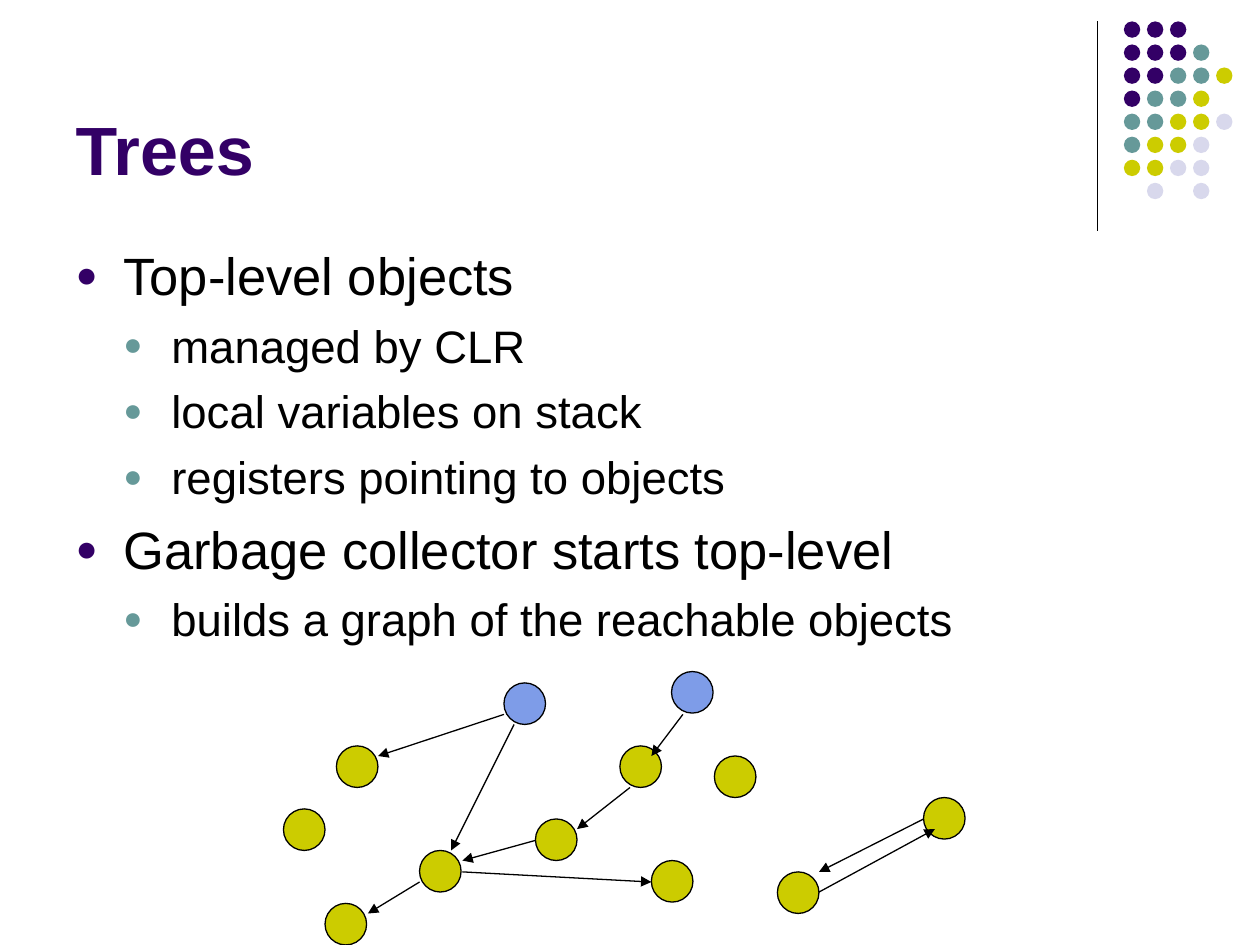
from lxml import etree
from pptx import Presentation
from pptx.dml.color import RGBColor
from pptx.enum import shapes, text
from pptx.oxml import ns
from pptx.util import Inches, Pt

PURPLE = RGBColor(0x33, 0x00, 0x66)
TEAL = RGBColor(0x66, 0x99, 0x99)
OLIVE = RGBColor(0xCC, 0xCC, 0x00)
LAVENDER = RGBColor(0xD8, 0xD8, 0xEC)
BLUE = RGBColor(0x7E, 0x9C, 0xE8)
BLACK = RGBColor(0x00, 0x00, 0x00)

DOT_COLORS = {"P": PURPLE, "T": TEAL, "O": OLIVE, "L": LAVENDER}
DOT_ROWS = ["PPP", "PPPT", "PPTTO", "PTTO", "TTOOL", "TOOL", "OOLL", " L L"]

LEVELS = [
    {"size": 30, "before": 7.5, "indent": 0.38, "bullet": PURPLE},
    {"size": 26, "before": 6.5, "indent": 0.76, "bullet": TEAL},
]
POINTS = [
    (0, "Top-level objects"),
    (1, "managed by CLR"),
    (1, "local variables on stack"),
    (1, "registers pointing to objects"),
    (0, "Garbage collector starts top-level"),
    (1, "builds a graph of the reachable objects"),
]

# Graph positions are relative to the graph's box
ROOTS = [(1.75, 0.09), (3.08, 0)]
NODES = [(0.42, 0.59), (1.08, 1.42), (0.33, 1.84), (2, 1.17), (2.67, 0.59),
         (3.42, 0.67), (5.08, 1), (2.92, 1.5), (0, 1.09), (3.92, 1.59)]
ARROWS = [
    ((1.75, 0.34), (0.75, 0.67)), ((1.83, 0.42), (1.33, 1.42)),
    ((1.08, 1.67), (0.67, 1.92)), ((1.42, 1.59), (2.92, 1.67)),
    ((3.17, 0.34), (2.92, 0.67)), ((2.75, 0.92), (2.33, 1.25)),
    ((2, 1.34), (1.42, 1.5)), ((5.08, 1.17), (4.25, 1.59)),
    ((4.25, 1.75), (5.17, 1.25)),
]


def set_attributes(target, values):
    for name, value in values.items():
        setattr(target, name, value)


def add_circle(parent, left, top, size, color, outlined=False):
    circle = parent.add_shape(shapes.MSO_SHAPE.OVAL, Inches(left), Inches(top),
                              Inches(size), Inches(size))
    circle.shadow.inherit = False
    circle.fill.solid()
    circle.fill.fore_color.rgb = color
    if outlined:
        circle.line.color.rgb = BLACK
        circle.line.width = Pt(0.75)
    else:
        circle.line.fill.background()


def add_line(slide, start, end, arrow=False):
    line = slide.shapes.add_connector(
        shapes.MSO_CONNECTOR.STRAIGHT, *(Inches(n) for n in (*start, *end)))
    line.line.color.rgb = BLACK
    line.line.width = Pt(0.75)
    if arrow:
        outline = line.line._get_or_add_ln()
        etree.SubElement(outline, ns.qn("a:tailEnd"), type="triangle")
    etree.SubElement(line._element.spPr, ns.qn("a:effectLst"))


def place_text(placeholder, box, anchor):
    names = ("left", "top", "width", "height")
    set_attributes(placeholder, dict(zip(names, (Inches(n) for n in box))))
    set_attributes(placeholder.text_frame, {
        "word_wrap": True, "auto_size": text.MSO_AUTO_SIZE.NONE,
        "vertical_anchor": anchor,
        "margin_left": Inches(0.1), "margin_right": Inches(0.1),
        "margin_top": Inches(0.05), "margin_bottom": Inches(0.05)})


def format_paragraph(paragraph, size, color, bold=False):
    paragraph.alignment = text.PP_ALIGN.LEFT
    set_attributes(paragraph.font,
                   {"name": "Arial", "size": Pt(size), "bold": bold})
    paragraph.font.color.rgb = color


def add_bullet(paragraph, indent, color):
    properties = paragraph._p.get_or_add_pPr()
    properties.set("marL", str(Inches(indent)))
    properties.set("indent", str(Inches(-0.38)))
    bullet_color = etree.SubElement(properties, ns.qn("a:buClr"))
    etree.SubElement(bullet_color, ns.qn("a:srgbClr"), val=str(color))
    etree.SubElement(properties, ns.qn("a:buSzPct"), val="70000")
    etree.SubElement(properties, ns.qn("a:buChar"), char="●")


def build_dots(slide, left, top):
    # Vertical rule with the dot grid to its right
    add_line(slide, (left, top), (left, top + 1.66))
    group = slide.shapes.add_group_shape()
    pitch = 0.183
    for row, codes in enumerate(DOT_ROWS):
        for column, code in enumerate(codes):
            if code in DOT_COLORS:
                add_circle(group.shapes, left + 0.21 + column * pitch,
                           top + row * pitch, 0.13, DOT_COLORS[code])


def build_title(slide, box):
    title = slide.shapes.title
    place_text(title, box, text.MSO_ANCHOR.BOTTOM)
    title.text_frame.text = "Trees"
    format_paragraph(title.text_frame.paragraphs[0], 39, PURPLE, bold=True)


def build_points(slide, box):
    body = slide.placeholders[1]
    place_text(body, box, text.MSO_ANCHOR.TOP)
    frame = body.text_frame
    frame.text = "\n".join(words for level, words in POINTS)
    for paragraph, (level, words) in zip(frame.paragraphs, POINTS):
        style = LEVELS[level]
        paragraph.level = level
        paragraph.space_before = Pt(style["before"])
        format_paragraph(paragraph, style["size"], BLACK)
        add_bullet(paragraph, style["indent"], style["bullet"])


def build_graph(slide, left, top):
    # Top-level objects are blue, the others olive
    for color, positions in ((BLUE, ROOTS), (OLIVE, NODES)):
        for x, y in positions:
            add_circle(slide.shapes, left + x, top + y, 0.33, color, outlined=True)
    # References between objects
    for (x1, y1), (x2, y2) in ARROWS:
        add_line(slide, (left + x1, top + y1), (left + x2, top + y2), arrow=True)


def main():
    presentation = Presentation()
    presentation.slide_width = Inches(10)
    presentation.slide_height = Inches(7.5)
    slide = presentation.slides.add_slide(presentation.slide_layouts[1])
    build_dots(slide, 8.71, 0.17)
    build_title(slide, (0.5, 0.13, 8.25, 1.42))
    build_points(slide, (0.5, 1.88, 9, 3.37))
    build_graph(slide, 2.25, 5.33)
    presentation.save("out.pptx")


if __name__ == "__main__":
    main()
